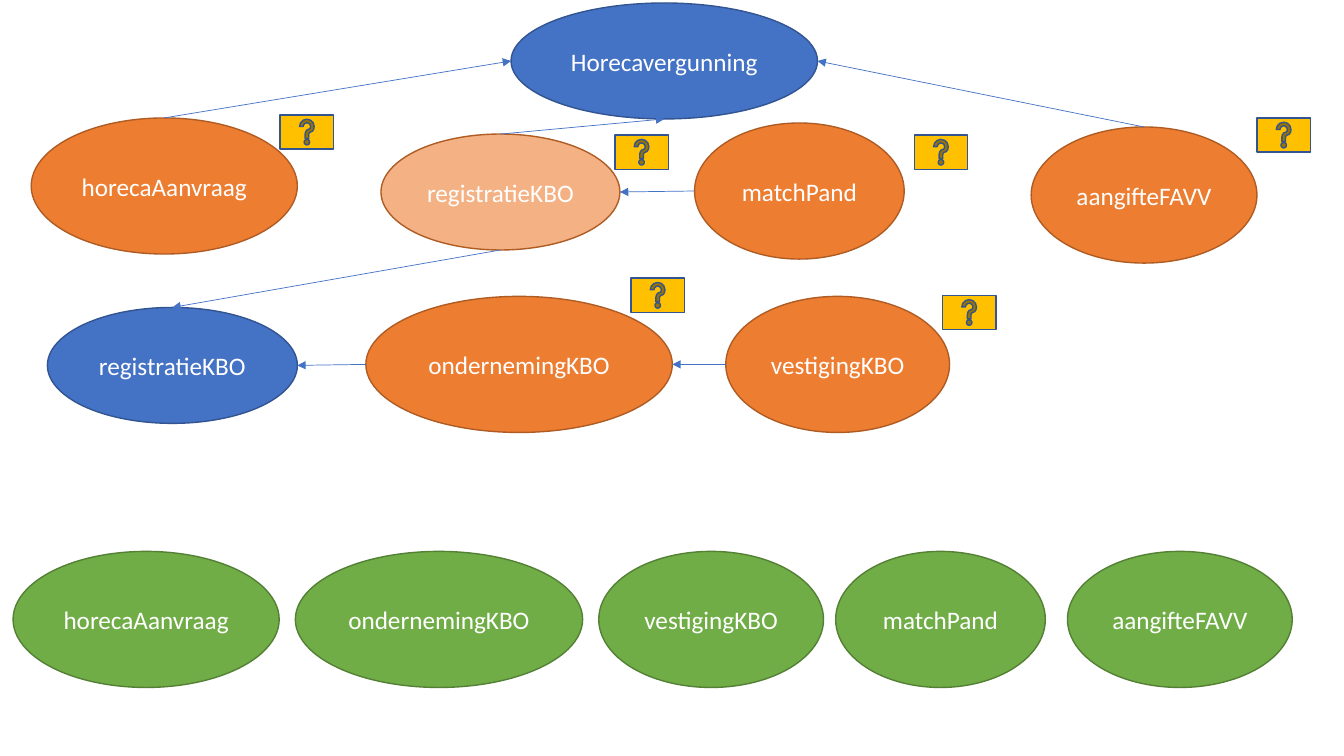
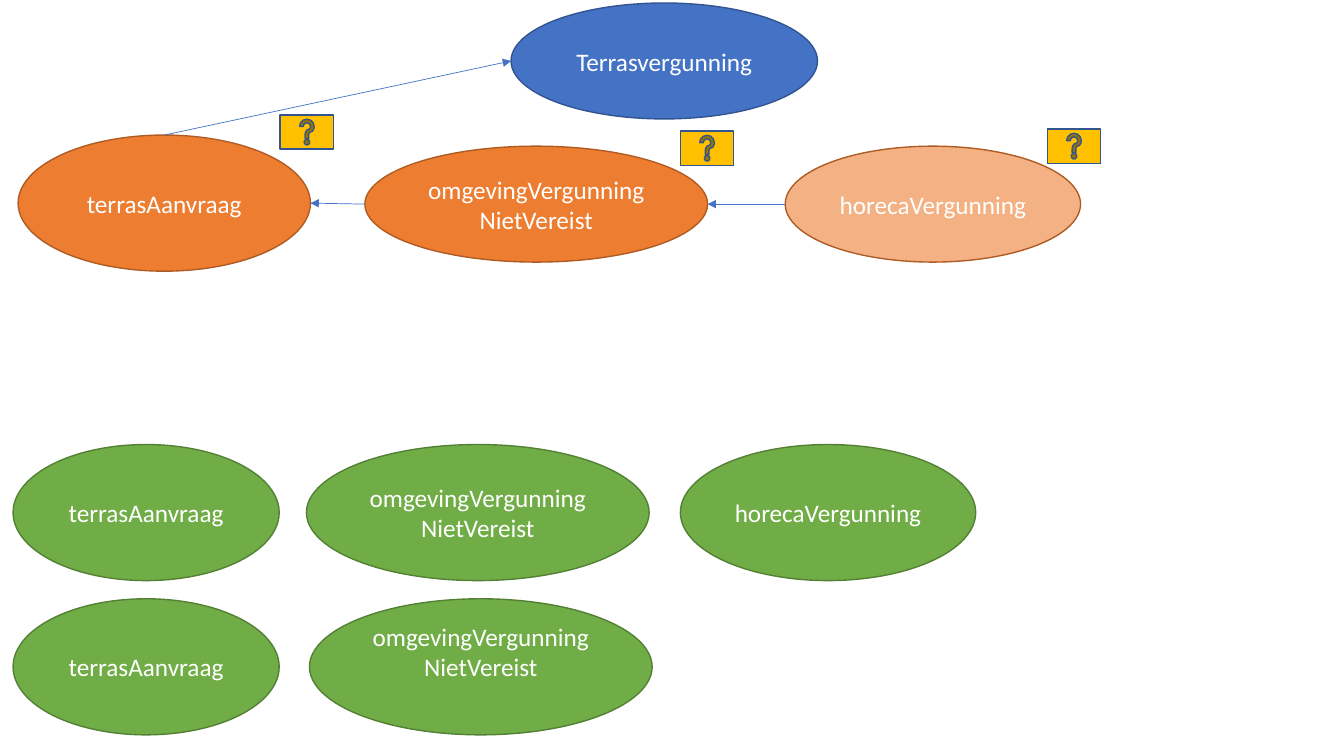
from lxml import etree
from pptx import Presentation
from pptx.dml.color import RGBColor
from pptx.enum.shapes import MSO_CONNECTOR, MSO_SHAPE
from pptx.enum.text import MSO_ANCHOR, PP_ALIGN
from pptx.oxml.ns import qn
from pptx.util import Inches, Pt

CELL = Inches(0.1)
COLS, ROWS = 133.33, 75
TALL, LOW = 13.5, 11.5
HELP_W, HELP_H = 5.3, 3.4

BLUE = RGBColor(0x44, 0x72, 0xC4)
DARK_BLUE = RGBColor(0x32, 0x54, 0x91)
ORANGE = RGBColor(0xED, 0x7D, 0x31)
PEACH = RGBColor(0xF4, 0xB1, 0x83)
DARK_ORANGE = RGBColor(0xAF, 0x5C, 0x24)
GREEN = RGBColor(0x70, 0xAD, 0x47)
DARK_GREEN = RGBColor(0x53, 0x80, 0x35)
GOLD = RGBColor(0xFF, 0xC0, 0x00)
WHITE = RGBColor(0xFF, 0xFF, 0xFF)

PERMIT = (BLUE, DARK_BLUE)
STEP = (ORANGE, DARK_ORANGE)
SUBPERMIT = (PEACH, DARK_ORANGE)
FORM = (GREEN, DARK_GREEN)
HELP = (GOLD, DARK_BLUE)

SIDES = {"top": (0.5, 0), "left": (0, 0.5), "bottom": (0.5, 1), "right": (1, 0.5)}


def grid(*cells):
    return [round(n * CELL) for n in cells]


def add_preset(s, kind, style, col, row, width, height):
    sp = s.shapes.add_shape(kind, *grid(col, row, width, height))
    fill, line = style
    sp.shadow.inherit = False
    sp.fill.solid()
    sp.fill.fore_color.rgb = fill
    sp.line.color.rgb = line
    sp.line.width = Pt(1)
    return sp


def add_oval(s, text, style, col, row, width, height):
    sp = add_preset(s, MSO_SHAPE.OVAL, style, col, row, width, height)
    tf = sp.text_frame
    tf.word_wrap = True
    tf.vertical_anchor = MSO_ANCHOR.MIDDLE
    p = tf.paragraphs[0]
    p.text = text
    p.alignment = PP_ALIGN.CENTER
    p.font.name = "Calibri"
    p.font.size = Pt(18)
    p.font.color.rgb = WHITE
    return sp


def add_form_row(s, row, forms):
    return [add_oval(s, text, FORM, col, row, width, TALL) for text, col, width in forms]


def add_help_buttons(s, places):
    for col, row in places:
        add_preset(s, MSO_SHAPE.ACTION_BUTTON_HELP, HELP, col, row, HELP_W, HELP_H)


def side_point(sp, side):
    x, y = SIDES[side]
    return round(sp.left + x * sp.width), round(sp.top + y * sp.height)


def add_arrow(s, source, source_side, target, target_side):
    start, end = side_point(source, source_side), side_point(target, target_side)
    cxn = s.shapes.add_connector(MSO_CONNECTOR.STRAIGHT, *start, *end)
    cxn.line.color.rgb = BLUE
    cxn.line.width = Pt(0.5)
    ln = cxn.line._get_or_add_ln()
    etree.SubElement(ln, qn("a:tailEnd"), type="triangle")
    etree.SubElement(cxn._element.spPr, qn("a:effectLst"))


def add_permit_slide(prs, title):
    s = prs.slides.add_slide(prs.slide_layouts[6])
    return s, add_oval(s, title, PERMIT, 50.7, 0.3, 30.4, LOW)


def build_horeca(prs):
    s, permit = add_permit_slide(prs, "Horecavergunning")
    request = add_oval(s, "horecaAanvraag", STEP, 3.1, 11.7, 26.4, TALL)
    registration = add_oval(s, "registratieKBO", SUBPERMIT, 37.8, 13.3, 23.7, LOW)
    subpermit = add_oval(s, "registratieKBO", PERMIT, 4.7, 30.5, 24.8, LOW)
    company = add_oval(s, "ondernemingKBO", STEP, 36.3, 29.4, 30.4, TALL)
    branch = add_oval(s, "vestigingKBO", STEP, 72, 29.4, 22.2, TALL)
    premises = add_oval(s, "matchPand", STEP, 68.9, 12.2, 20.8, TALL)
    declaration = add_oval(s, "aangifteFAVV", STEP, 102.3, 12.6, 22.4, TALL)

    add_arrow(s, request, "top", permit, "left")
    add_arrow(s, registration, "top", permit, "bottom")
    add_arrow(s, registration, "bottom", subpermit, "top")
    add_arrow(s, company, "left", subpermit, "right")
    add_arrow(s, branch, "left", company, "right")
    add_arrow(s, premises, "left", registration, "right")
    add_arrow(s, declaration, "top", permit, "right")

    add_help_buttons(s, [(27.8, 11.4), (61, 13.4), (62.6, 27.6),
                         (93.5, 29.3), (90.7, 13.4), (124.7, 11.7)])
    add_form_row(s, 54.7, [("horecaAanvraag", 1.3, 26.4),
                           ("ondernemingKBO", 29.3, 28.5),
                           ("vestigingKBO", 59.4, 22.3),
                           ("matchPand", 82.9, 20.8),
                           ("aangifteFAVV", 105.9, 22.3)])


def build_terras(prs):
    s, permit = add_permit_slide(prs, "Terrasvergunning")
    request = add_oval(s, "terrasAanvraag", STEP, 1.8, 13.4, 29, TALL)
    exemption = add_oval(s, "omgevingVergunningNietVereist", STEP, 36.2, 14.5, 34, LOW)
    horeca = add_oval(s, "horecaVergunning", SUBPERMIT, 77.9, 14.5, 29.3, LOW)

    add_arrow(s, request, "top", permit, "left")
    add_arrow(s, exemption, "left", request, "right")
    add_arrow(s, horeca, "left", exemption, "right")

    add_help_buttons(s, [(27.8, 11.4), (67.5, 13), (103.9, 12.8)])
    add_form_row(s, 44.1, [("terrasAanvraag", 1.3, 26.4),
                           ("omgevingVergunningNietVereist", 30.4, 34),
                           ("horecaVergunning", 67.5, 29.3)])
    last_row = add_form_row(s, 59.4, [("terrasAanvraag", 1.3, 26.4),
                                      ("omgevingVergunningNietVereist", 30.7, 34)])
    last_row[-1].text_frame.margin_bottom = round(3.5 * CELL)


def main():
    prs = Presentation()
    prs.slide_width, prs.slide_height = grid(COLS, ROWS)
    build_horeca(prs)
    build_terras(prs)
    prs.save("out.pptx")


main()
